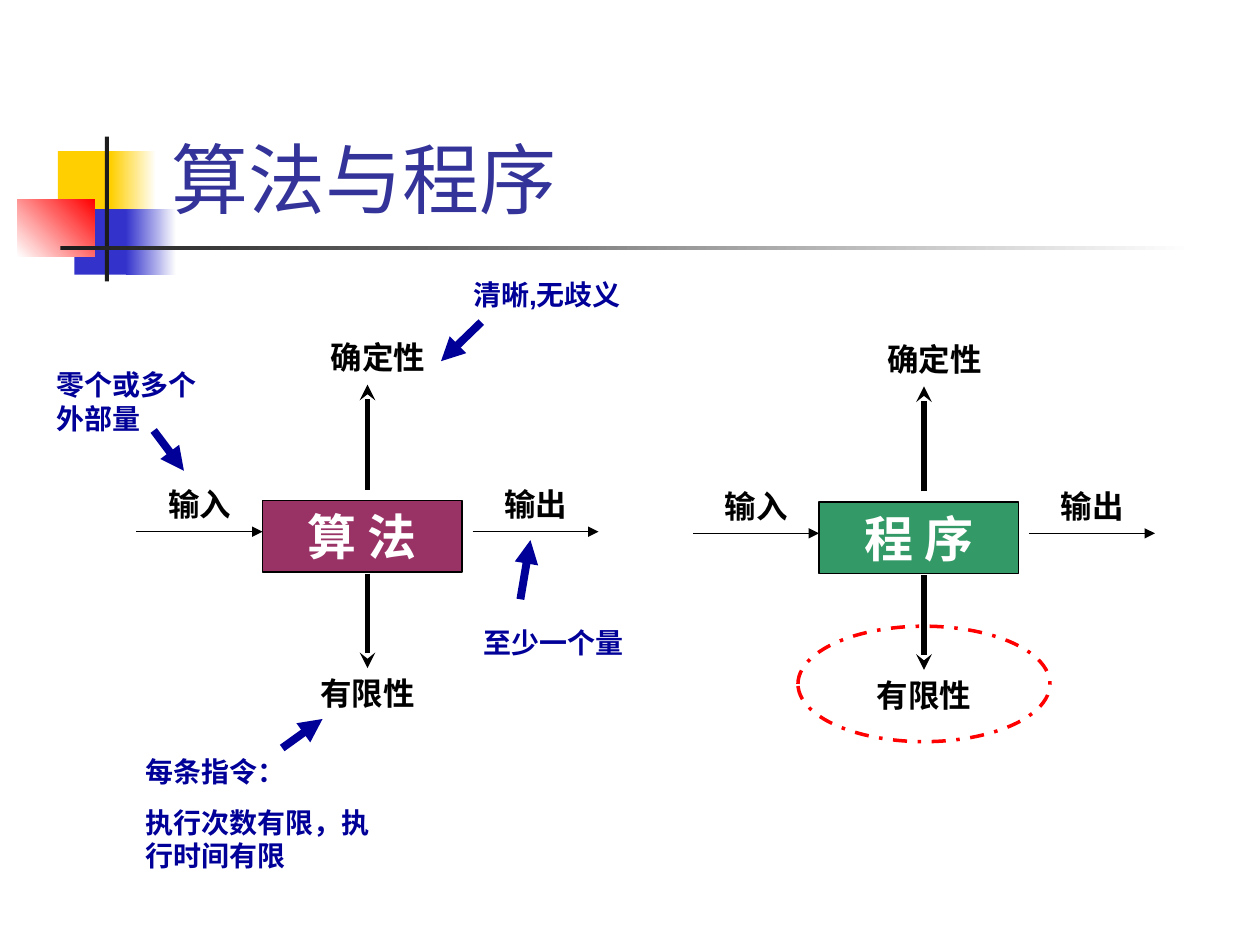
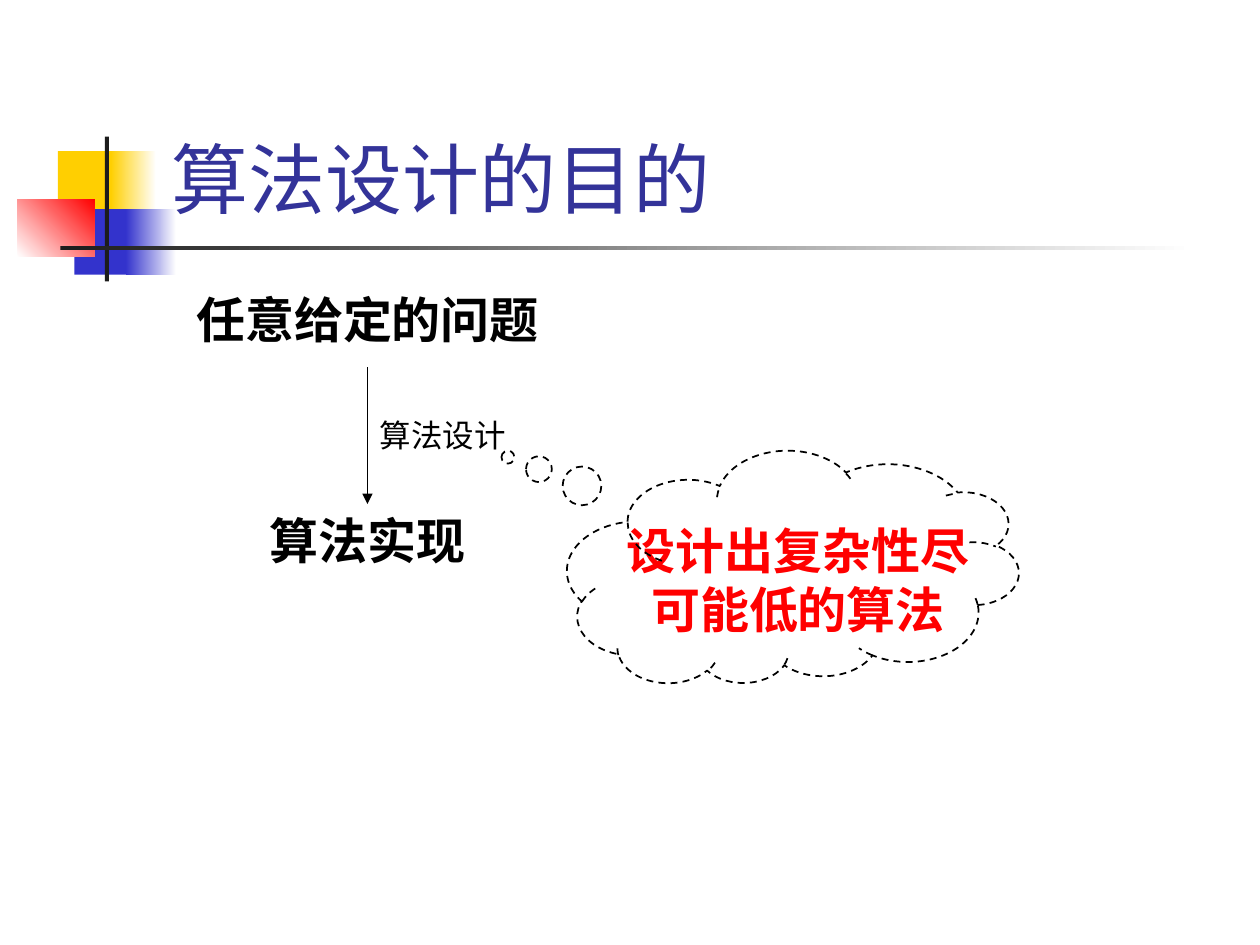
import pptx
import pptx.util
import pptx.dml.color
import pptx.enum.dml
import pptx.enum.shapes
import pptx.enum.text
import pptx.oxml
import pptx.oxml.ns

SHAPE = pptx.enum.shapes.MSO_SHAPE
ALIGN = pptx.enum.text.PP_ALIGN
ANCHOR = pptx.enum.text.MSO_ANCHOR
DASH = pptx.enum.dml.MSO_LINE

# The slide is a grid of 120 columns by 90 rows; all lengths are in its cells
COLUMNS, ROWS = 120, 90
WIDTH, HEIGHT = pptx.util.Inches(10), pptx.util.Inches(7.5)

BLACK, WHITE, RED, NAVY = "000000", "FFFFFF", "FF0000", "000099"
YELLOW, BLUE, CHARCOAL, INDIGO = "FFCF01", "3333CC", "1C1C1C", "333399"
PLUM, GREEN = "993366", "339966"

TITLE = {"name": "Cabin", "size": 44, "color": INDIGO}
HEADING = {"name": "Arial", "size": 28, "bold": True, "color": BLACK}
LABEL = {"name": "Arial", "size": 18, "bold": True, "color": BLACK}
NOTE = {"name": "Arial", "size": 16, "bold": True, "color": NAVY}
HEADING_ROWS, LABEL_ROWS = 6.84, 4.8


# ---- Shared helpers ----
def cells(*lengths):
    return [round(length * WIDTH / COLUMNS) for length in lengths]


def rgb(value):
    return pptx.dml.color.RGBColor.from_string(value)


def write(frame, text, style, align, anchor=ANCHOR.TOP):
    frame.word_wrap = True
    frame.vertical_anchor = anchor
    for index, line in enumerate(text.split("\n")):
        paragraph = frame.paragraphs[0] if index == 0 else frame.add_paragraph()
        paragraph.alignment = align
        if index:
            paragraph.space_before = pptx.util.Pt(style["size"] * 0.625)
        run = paragraph.add_run()
        run.text = line
        for key, value in style.items():
            if key == "color":
                run.font.color.rgb = rgb(value)
            else:
                setattr(run.font, key, pptx.util.Pt(value) if key == "size" else value)


def add_text(slide, box, text, style, align=ALIGN.CENTER, anchor=ANCHOR.TOP):
    write(slide.shapes.add_textbox(*cells(*box)).text_frame, text, style, align, anchor)


def add_figure(slide, kind, box, fill=None, line=None, weight=0.75, dash=None):
    """Fill is None, one colour, or (start colour, end colour, angle)."""
    figure = slide.shapes.add_shape(kind, *cells(*box))
    figure.shadow.inherit = False
    if fill is None:
        figure.fill.background()
    elif isinstance(fill, tuple):
        *stop_colors, angle = fill
        figure.fill.gradient()
        figure.fill.gradient_angle = angle
        for stop, color in zip(figure.fill.gradient_stops, stop_colors):
            stop.color.rgb = rgb(color)
    else:
        figure.fill.solid()
        figure.fill.fore_color.rgb = rgb(fill)
    if line is None:
        figure.line.fill.background()
    else:
        figure.line.color.rgb = rgb(line)
        figure.line.width = pptx.util.Pt(weight)
        figure.line.dash_style = dash
    return figure


def add_arrow(slide, start, end, weight=0.75, color=BLACK, head="triangle"):
    arrow = slide.shapes.add_connector(
        pptx.enum.shapes.MSO_CONNECTOR.STRAIGHT, *cells(*start, *end))
    arrow.line.color.rgb = rgb(color)
    arrow.line.width = pptx.util.Pt(weight)
    tip = pptx.oxml.parse_xml(
        f'<a:tailEnd {pptx.oxml.ns.nsdecls("a")} type="{head}"/>')
    arrow.line._get_or_add_ln().append(tip)
    no_shadow = pptx.oxml.parse_xml(f'<a:effectLst {pptx.oxml.ns.nsdecls("a")}/>')
    arrow._element.spPr.append(no_shadow)


# ---- Title band shared by the slides ----
def add_titled_slide(deck, title):
    slide = deck.slides.add_slide(deck.slide_layouts[6])
    ornament = [
        ((5.52, 14.4, 5.76, 6.24), YELLOW),
        ((10.56, 14.4, 4.32, 6.24), (YELLOW, WHITE, 0)),
        ((7.08, 19.92, 5.52, 6.24), BLUE),
        ((12, 19.92, 4.8, 6.24), (BLUE, WHITE, 0)),
        ((1.68, 18.96, 7.32, 5.52), (WHITE, RED, 45)),
        ((9.98, 13, 0.4, 13.8), CHARCOAL),
        ((5.76, 23.4, 108, 0.4), (CHARCOAL, WHITE, 0)),
    ]
    for box, fill in ornament:
        add_figure(slide, SHAPE.RECTANGLE, box, fill)
    add_text(slide, (15.12, 2.76, 102.24, 19.2), title, TITLE, ALIGN.LEFT, ANCHOR.BOTTOM)
    return slide


# ---- Slide 1: algorithm versus program ----
def add_properties_diagram(slide, left, top, subject, color):
    """A subject with input, output and two properties around it."""
    node = add_figure(slide, SHAPE.RECTANGLE, (left + 12, top + 16, 19, HEADING_ROWS),
                      color, BLACK)
    write(node.text_frame, subject, {**HEADING, "color": WHITE}, ALIGN.CENTER)

    for caption, column in (("输入", 0), ("输出", 32)):
        x, y = left + column, top + 19
        add_arrow(slide, (x, y), (x + 12, y))
        add_text(slide, (x + 1, top + 14, 10, LABEL_ROWS), caption, LABEL)

    axis = left + 22
    for caption, column, row, start, end in (("确定性", 14, 0, 15, 5),
                                             ("有限性", 13, 32, 23, 32)):
        add_arrow(slide, (axis, top + start), (axis, top + end), 3, head="stealth")
        add_text(slide, (left + column, top + row, 18, LABEL_ROWS), caption, LABEL)


def add_property_notes(slide, left, top):
    """Remarks with arrows pointing at the parts of the diagram."""
    notes = [
        ("零个或多个外部量", (-8.8, 2.8, 18, 7.7), (1.64, 9.36), (4.52, 13.2)),
        ("清晰,无歧义", (30.9, -5.76, 18, 4.44), (32.84, -0.96), (29, 2.76)),
        ("每条指令：\n执行次数有限，执行时间有限", (-0.28, 39.6, 24.6, 12.5),
         (13.88, 39.6), (17.72, 36.84)),
        ("至少一个量", (31.88, 27.36, 18, 4.44), (36.56, 25.44), (37.52, 19.8)),
    ]
    for remark, (x, y, width, height), start, end in notes:
        add_text(slide, (left + x, top + y, width, height), remark, NOTE, ALIGN.LEFT)
        add_arrow(slide, (left + start[0], top + start[1]),
                  (left + end[0], top + end[1]), 4.5, NAVY)


def build_comparison(deck):
    slide = add_titled_slide(deck, "算法与程序")
    algorithm, program = (13, 31.64), (66, 31.8)
    add_properties_diagram(slide, *algorithm, "算 法", PLUM)
    add_properties_diagram(slide, *program, "程 序", GREEN)
    finiteness_mark = (program[0] + 10, program[1] + 27.84, 24, 11)
    add_figure(slide, SHAPE.OVAL, finiteness_mark, None, RED, 2, DASH.DASH_DOT)
    add_property_notes(slide, *algorithm)


# ---- Slide 2: purpose of algorithm design ----
def add_design_flow(slide, left, top):
    for step, row in (("任意给定的问题", 0), ("算法实现", 21)):
        add_text(slide, (left, top + row, 38, HEADING_ROWS), step, HEADING)
    axis = left + 19
    add_arrow(slide, (axis, top + 8), (axis, top + 21))
    add_text(slide, (axis, top + 12, 17, LABEL_ROWS), "算法设计",
             {**LABEL, "bold": False}, ALIGN.LEFT)


def add_goal_cloud(slide, left, top):
    goal = add_figure(slide, SHAPE.RECTANGLE, (left + 4, top + 6, 36, 12.5), WHITE)
    write(goal.text_frame, "设计出复杂性尽可能低的算法", {**HEADING, "color": RED},
          ALIGN.CENTER)
    cloud = add_figure(slide, SHAPE.CLOUD_CALLOUT, (left, top, 43, 22.1),
                       None, BLACK, 1, DASH.DASH)
    cloud.rotation = 179.8
    cloud.adjustments[0], cloud.adjustments[1] = 0.63, 0.48


def build_purpose(deck):
    slide = add_titled_slide(deck, "算法设计的目的")
    add_design_flow(slide, 16, 27)
    add_goal_cloud(slide, 54, 43)


def main():
    deck = pptx.Presentation()
    deck.slide_width, deck.slide_height = WIDTH, HEIGHT
    build_comparison(deck)
    build_purpose(deck)
    deck.save("out.pptx")


if __name__ == "__main__":
    main()
